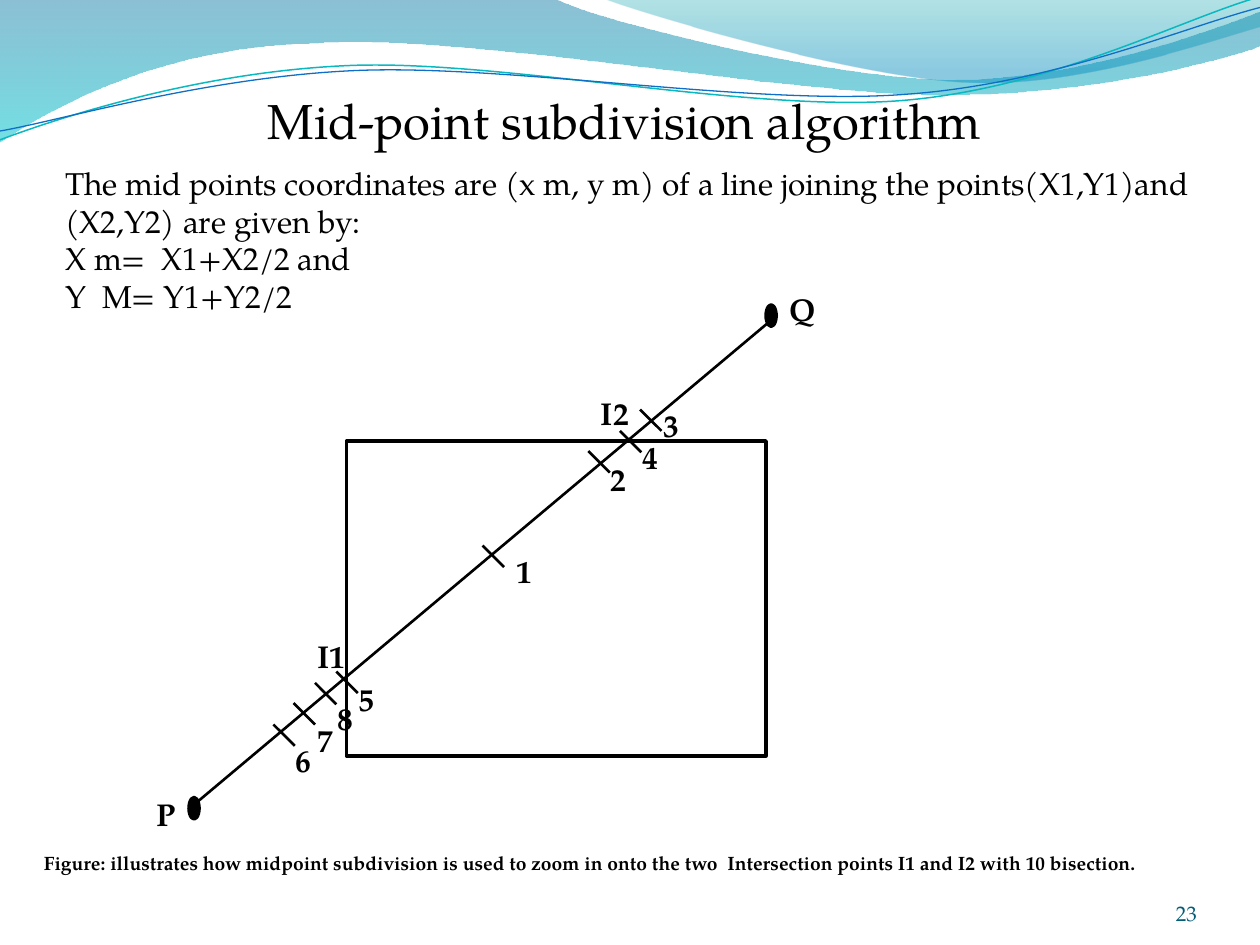
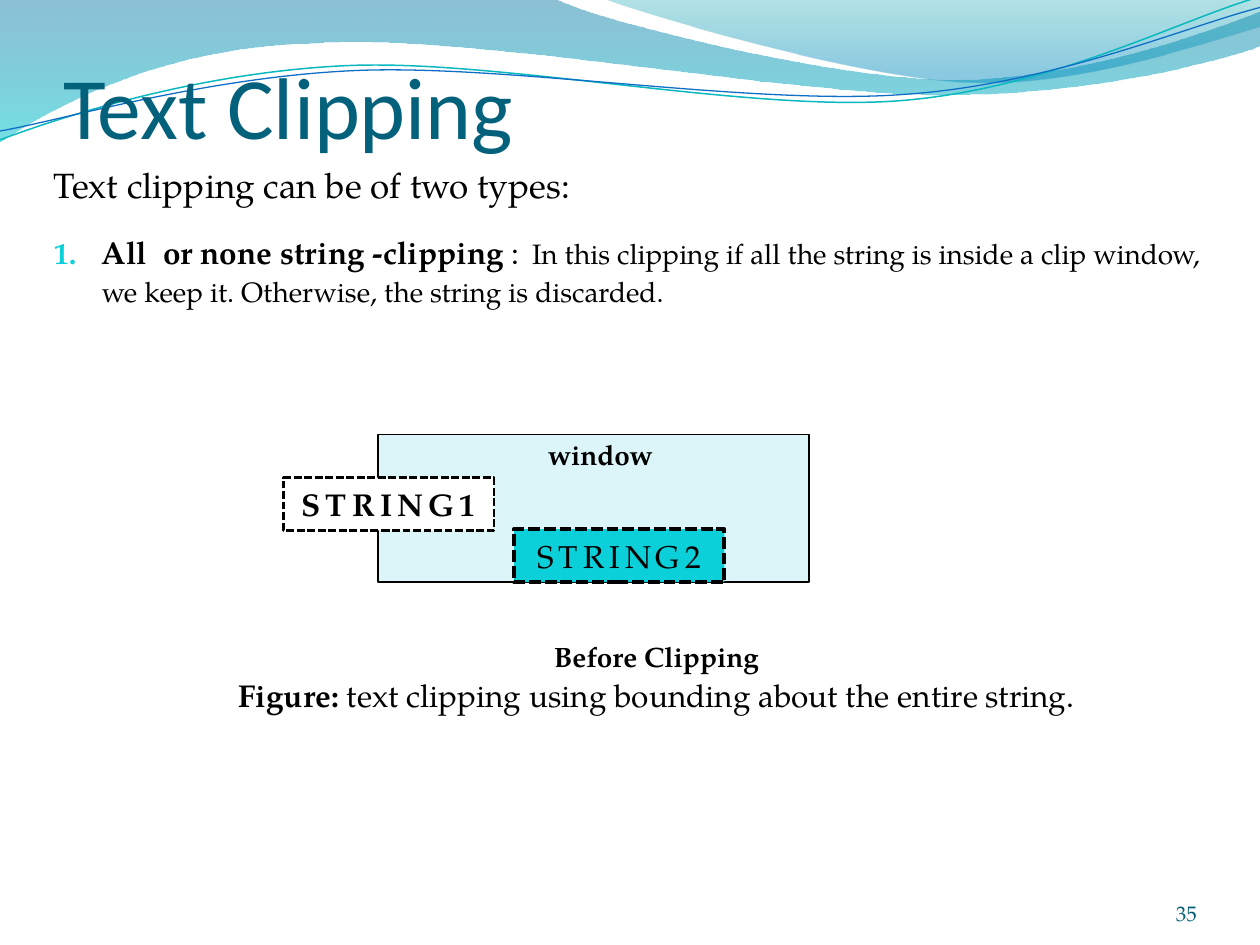
"""Build two slides on clipping algorithms with a shared wave header."""
import math

from lxml import etree
from pptx import Presentation
from pptx.dml.color import RGBColor
from pptx.enum import dml, shapes, text
from pptx.oxml import ns
from pptx.util import Inches, Pt

SERIF, SANS = "TeX Gyre Pagella", "Calibri"
BLACK, WHITE, TITLE, NUMBER = "000000", "FFFFFF", "04617B", "045D75"
PALE, TURQUOISE = "DBF5F9", "0BD0D9"
BOLD = {"size": 18, "bold": True}
TICK = 0.17
TILT = -2.7

BANDS = [
    {"start": (0, 0), "grad": [(0, "0074A1", 45), (1, "00C6CF", 55)], "segments": [
        (4.4, -0.01), (4.76, 0.17, 6.64, 0.63, 7.58, 0.63), (8.53, 0.63, 9.58, 0.26, 10, 0.09),
        (10.01, 0.36), (9.83, 0.44, 8.7, 0.76, 7.46, 0.75), (6.22, 0.75, 3.82, 0.28, 2.57, 0.34),
        (1.29, 0.36, 0.46, 0.83, -0.01, 1.13)]},
    {"start": (4.79, -0.01), "grad": [(0, "00A1A9", 30), (0.8, "008BBF", 45)], "segments": [
        (5.09, 0.11, 6.82, 0.62, 7.69, 0.65), (8.56, 0.69, 9.61, 0.32, 10, 0.21), (10, 0)]},
]
RIPPLES = [
    {"start": (0, 1.11), "color": "0AB8BF", "width": 0.85, "center": (4.99, 0.57), "segments": [
        (0.48, 0.93, 1.58, 0.57, 2.77, 0.52), (3.95, 0.47, 5.93, 0.89, 7.13, 0.8),
        (8.33, 0.71, 9.38, 0.15, 9.98, -0.02)]},
    {"start": (0, 1.04), "color": "0F6FC6", "width": 0.75, "center": (5, 0.59), "segments": [
        (0.47, 0.96, 1.64, 0.61, 2.83, 0.56), (4.03, 0.51, 5.97, 0.84, 7.17, 0.75),
        (8.36, 0.67, 9.41, 0.21, 10, 0.06)]},
]

MARKS = [
    ("1", (3.83, 4.33), (4, 4.33)),
    ("2", (4.67, 3.58), (4.75, 3.6)),
    ("3", (5.08, 3.25), (5.17, 3.17)),
    ("4", (4.92, 3.42), (5, 3.43)),
    ("5", (2.67, 5.33), (2.75, 5.35)),
    ("6", (2.17, 5.75), (2.25, 5.83)),
    ("7", (2.33, 5.58), (2.42, 5.67)),
    ("8", (2.5, 5.42), (2.58, 5.5)),
]
NAMES = [("Q", (6.17, 2.25)), ("P", (1.14, 6.26)), ("I1", (2.42, 5.01)), ("I2", (4.67, 3.08))]


def rgb(value):
    """Turn a hex string into a colour."""
    return RGBColor.from_string(value)


def inches(values):
    """Turn a sequence of numbers into lengths."""
    return [Inches(v) for v in values]


def apply(target, values):
    """Set each named attribute on the target."""
    for name, value in values.items():
        setattr(target, name, value)


def add_run(p, content, size=18, color=BLACK, name=SERIF, bold=False, spacing=0):
    """Add one formatted run to a paragraph."""
    r = p.add_run()
    r.text = content
    apply(r.font, {"size": Pt(size), "name": name, "bold": bold})
    r.font.color.rgb = rgb(color)
    if spacing:
        r._r.get_or_add_rPr().set("spc", str(spacing * 100))


def write(sp, paragraphs, align="LEFT", anchor="TOP", margins=(0.1, 0.05, 0.1, 0.05)):
    """Fill a shape with paragraphs, each a list of (text, format) runs."""
    tf = sp.text_frame
    sides = ("margin_left", "margin_top", "margin_right", "margin_bottom")
    apply(tf, {"word_wrap": True, "auto_size": text.MSO_AUTO_SIZE.NONE,
               "vertical_anchor": getattr(text.MSO_ANCHOR, anchor)})
    apply(tf, dict(zip(sides, inches(margins))))
    for i, runs in enumerate(paragraphs):
        p = tf.add_paragraph() if i else tf.paragraphs[0]
        p.alignment = getattr(text.PP_ALIGN, align)
        for content, fmt in runs:
            add_run(p, content, **fmt)
    return tf


def add_text(s, at, paragraphs, **layout):
    """Add a text box."""
    return write(s.shapes.add_textbox(*inches(at)), paragraphs, **layout)


def add_title(s, at, content, fmt, **layout):
    """Move the title placeholder and write it."""
    sp = s.shapes.title
    apply(sp, dict(zip(("left", "top", "width", "height"), inches(at))))
    write(sp, [[(content, fmt)]], **layout)


def add_number(s, number):
    """Add the slide number at the lower right."""
    add_text(s, (8.67, 6.95, 0.83, 0.4), [[(number, {"size": 12, "color": NUMBER})]],
             align="RIGHT", anchor="BOTTOM", margins=(0, 0, 0, 0))


def add_box(s, kind, at, fill=None, width=2, dash=None):
    """Add a black-outlined preset shape."""
    sp = s.shapes.add_shape(getattr(shapes.MSO_SHAPE, kind), *inches(at))
    sp.shadow.inherit = False
    if fill:
        sp.fill.solid()
        sp.fill.fore_color.rgb = rgb(fill)
    else:
        sp.fill.background()
    sp.line.color.rgb = rgb(BLACK)
    apply(sp.line, {"width": Pt(width), "dash_style": dash})
    return sp


def add_line(s, start, end):
    """Add a straight black line."""
    c = s.shapes.add_connector(shapes.MSO_CONNECTOR.STRAIGHT, *inches(start + end))
    c.line.color.rgb = rgb(BLACK)
    c.line.width = Pt(1.5)
    etree.SubElement(c.element.spPr, ns.qn("a:effectLst"))


def turn(point, center, degrees):
    """Rotate a point clockwise about a centre."""
    angle = math.radians(degrees)
    x, y = point[0] - center[0], point[1] - center[1]
    return (center[0] + x * math.cos(angle) - y * math.sin(angle),
            center[1] + x * math.sin(angle) + y * math.cos(angle))


def add_outline(s, start, segments, close=False, center=(0, 0), tilt=0):
    """Add a freeform of straight (two-value) and cubic (six-value) segments."""
    knots = [start] + [seg[i:i + 2] for seg in segments for i in range(0, len(seg), 2)]
    points = [inches(turn(knot, center, -tilt)) for knot in knots]
    builder = s.shapes.build_freeform(*points[0])
    builder.add_line_segments(points[1:], close=close)
    sp = builder.convert_to_shape()
    sp.shadow.inherit = False
    sp.rotation = tilt % 360
    steps = iter(list(sp.element.iter(ns.qn("a:lnTo"))))
    for seg in segments:
        first = next(steps)
        if len(seg) == 6:
            first.tag = ns.qn("a:cubicBezTo")
            for step in (next(steps), next(steps)):
                first.append(step[0])
                step.getparent().remove(step)
    return sp


def add_band(s, grad, **outline):
    """Add a closed band with a translucent vertical gradient."""
    sp = add_outline(s, close=True, **outline)
    sp.line.fill.background()
    sp.fill.gradient()
    sp.fill.gradient_angle = 270
    for stop, (position, color, _) in zip(sp.fill.gradient_stops, grad):
        stop.position = position
        stop.color.rgb = rgb(color)
    colors = list(sp.element.spPr.iter(ns.qn("a:srgbClr")))
    for node, (_, _, opacity) in zip(colors, grad):
        etree.SubElement(node, ns.qn("a:alpha"), val=str(opacity * 1000))
    return sp


def add_ripple(s, color, width, **outline):
    """Add a thin tilted curve."""
    sp = add_outline(s, tilt=TILT, **outline)
    sp.fill.background()
    sp.line.color.rgb = rgb(color)
    sp.line.width = Pt(width)
    return sp


def share_waves(s):
    """Place the wave header on the slide's layout, behind its placeholders."""
    waves = [add_band(s, **band) for band in BANDS]
    waves += [add_ripple(s, **ripple) for ripple in RIPPLES]
    for i, sp in enumerate(waves):
        s.slide_layout.shapes.element.insert(2 + i, sp.element)


def number_paragraph(p, indent):
    """Give a paragraph a coloured number and a hanging indent."""
    pPr = p._p.get_or_add_pPr()
    pPr.set("marL", str(Inches(indent)))
    pPr.set("indent", str(-Inches(indent)))
    color = etree.SubElement(pPr, ns.qn("a:buClr"))
    etree.SubElement(color, ns.qn("a:srgbClr"), val=TURQUOISE)
    etree.SubElement(pPr, ns.qn("a:buSzPct"), val="95000")
    etree.SubElement(pPr, ns.qn("a:buAutoNum"), type="arabicPeriod")


def build_midpoint(s):
    """Build the mid-point subdivision slide."""
    add_title(s, (0.58, 0.67, 8.75, 0.57), "Mid-point subdivision algorithm",
              {"size": 28}, align="CENTER")
    add_text(s, (0.42, 1.25, 9.58, 1.62), [[(line, {})] for line in (
        "The mid points coordinates are (x m, y m) of a line joining the points(X1,Y1)and "
        "(X2,Y2) are given by:",
        "X m=  X1+X2/2 and",
        "Y  M= Y1+Y2/2")])
    add_box(s, "RECTANGLE", (2.75, 3.5, 3.33, 2.5))
    add_line(s, (6.17, 2.5), (1.5, 6.42))
    for x, y in ((6.08, 2.42), (1.5, 6.33)):
        add_box(s, "OVAL", (x, y, 0.08, 0.17), BLACK)
    for _, (x, y), _ in MARKS:
        add_line(s, (x, y), (x + TICK, y + TICK))
    for name, at in NAMES:
        add_text(s, at + (0.58, 0.4), [[(name, BOLD)]])
    for mark, _, at in MARKS:
        add_text(s, at + (0.35, 0.4), [[(mark, BOLD)]])
    add_text(s, (0.25, 6.71, 9.67, 0.29), [[(
        "Figure: illustrates how midpoint subdivision is used to zoom in onto the two  "
        "Intersection points I1 and I2 with 10 bisection.", {"size": 11, "bold": True})]])
    add_number(s, "23")


def build_text_clipping(s):
    """Build the text clipping slide."""
    add_title(s, (0.5, 0.3, 9, 0.95), "Text Clipping",
              {"size": 50, "name": SANS, "color": TITLE},
              anchor="BOTTOM", margins=(0, 0.05, 0, 0))
    tf = add_text(s, (0.33, 1.25, 9.42, 5.5), [
        [("Text clipping can be of two types:", {"size": 20})],
        [("All  or none string -clipping ", BOLD), (":", {}), (" ", {"size": 28}),
         ("In this clipping if all the string is inside a clip window, we keep it. "
          "Otherwise, the string is discarded.", {"size": 16})]])
    number_paragraph(tf.paragraphs[1], 0.38)
    tf.paragraphs[1].space_before = Pt(5.6)
    add_box(s, "RECTANGLE", (3, 3.45, 3.42, 1.17), PALE, 0.75)
    for name, x, y, fill, width, bold in (("STRING1", 2.25, 3.79, WHITE, 1.5, True),
                                          ("STRING2", 4.08, 4.2, TURQUOISE, 2.25, False)):
        sp = add_box(s, "RECTANGLE", (x, y, 1.67, 0.42), fill, width, dml.MSO_LINE.SQUARE_DOT)
        write(sp, [[(name, {"bold": bold, "spacing": 3})]], align="CENTER", anchor="MIDDLE")
    add_text(s, (4.25, 3.42, 1.1, 0.37), [[("window", {"size": 16, "bold": True})]])
    tf = add_text(s, (1.75, 5.03, 6.92, 0.7), [
        [("Before Clipping", {"size": 16, "bold": True})],
        [("Figure: ", BOLD), ("text clipping using bounding about the entire string.", {})]],
        align="CENTER")
    tf.paragraphs[1].space_before = Pt(1.5)
    add_number(s, "35")


def main():
    """Create the presentation and save it."""
    prs = Presentation()
    prs.slide_width, prs.slide_height = Inches(10), Inches(7.5)
    layout = prs.slide_layouts.get_by_name("Title Only")
    midpoint, clipping = [prs.slides.add_slide(layout) for _ in range(2)]
    share_waves(midpoint)
    build_midpoint(midpoint)
    build_text_clipping(clipping)
    prs.save("out.pptx")


if __name__ == "__main__":
    main()
